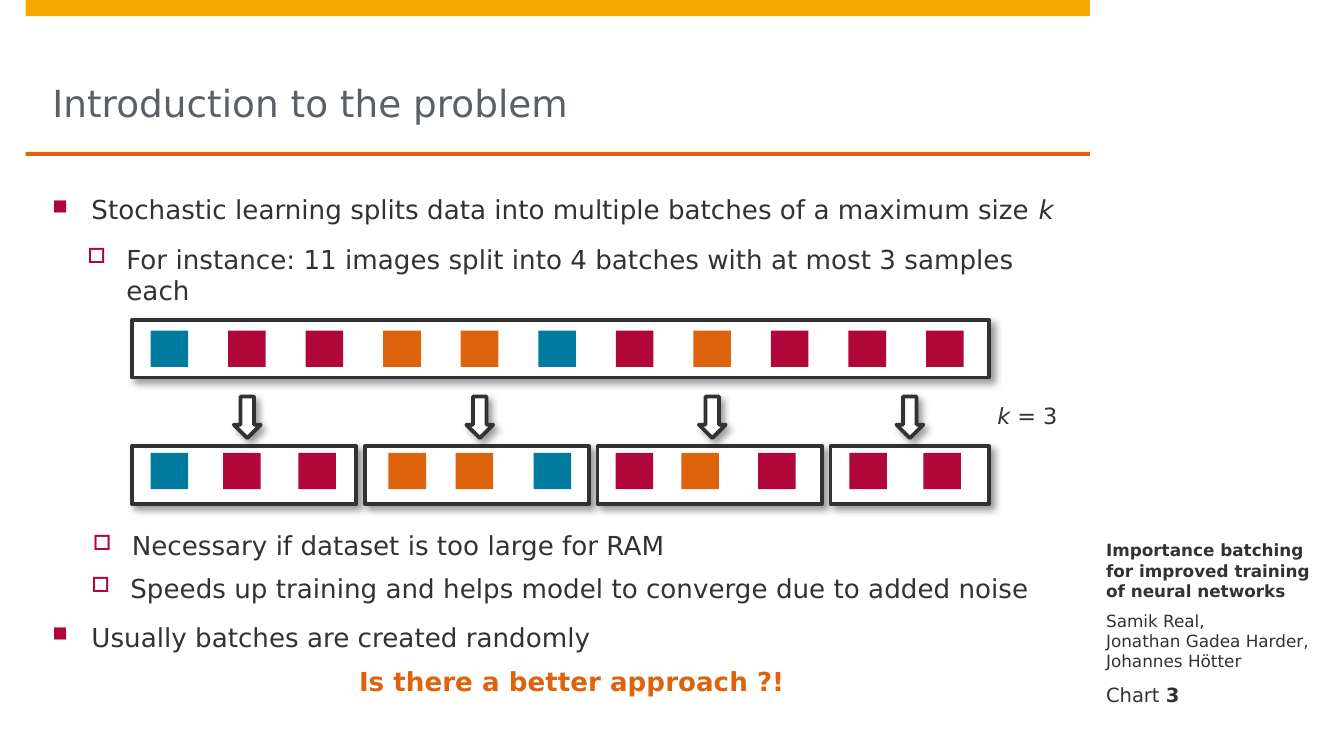
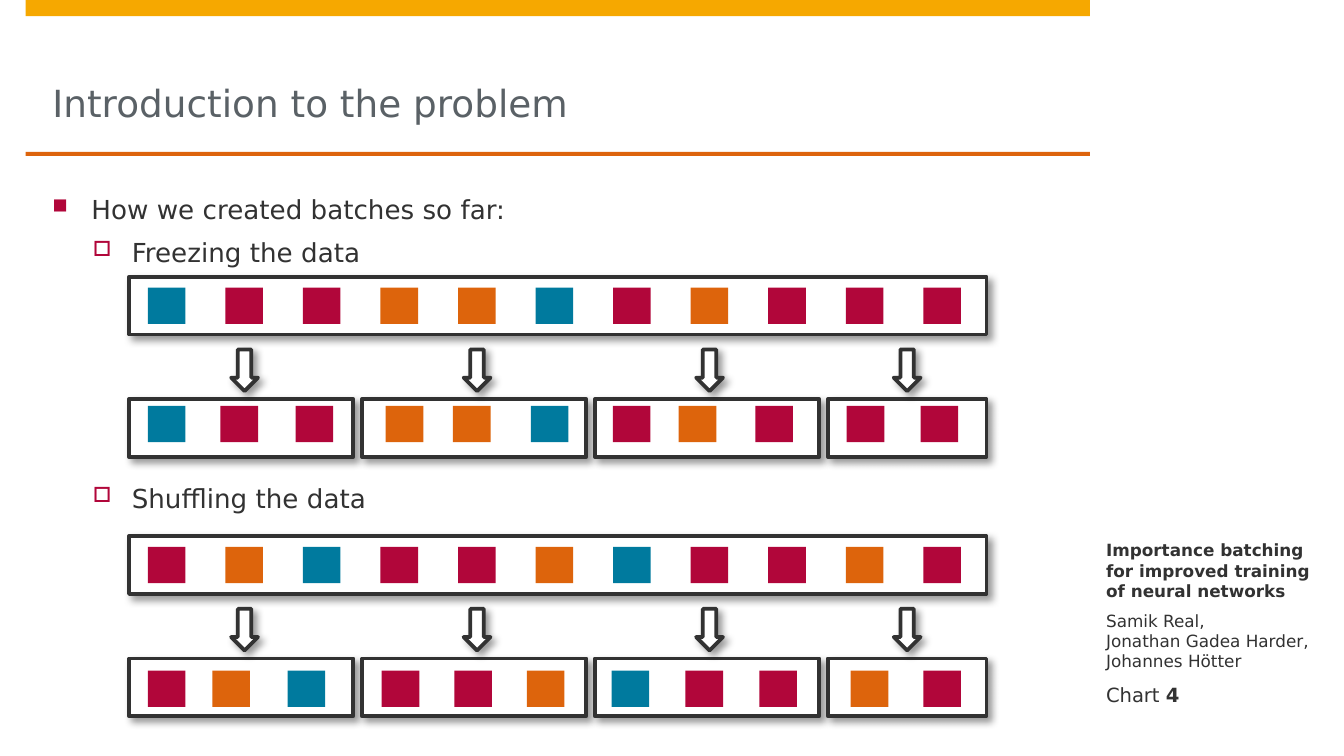
"""Builds two slides on splitting training data into batches."""
from lxml.etree import SubElement
from pptx import Presentation
from pptx.dml.color import RGBColor
from pptx.enum.shapes import MSO_SHAPE
from pptx.enum.text import MSO_ANCHOR, MSO_AUTO_SIZE, PP_ALIGN
from pptx.oxml import parse_xml
from pptx.oxml.ns import nsdecls, qn
from pptx.util import Inches, Pt

FONT = "DejaVu Sans"
DARK, GREY, WHITE = "323232", "5A6166", "FFFFFF"
YELLOW, ORANGE, RED, BLUE = "F6A800", "DD640C", "B1063A", "007A9E"
SAMPLE_COLORS = {"B": BLUE, "R": RED, "O": ORANGE}
BULLETS = {1: ("■", 0.29), 2: ("□", 0.59)}
SHADOW = (
    f'<a:effectLst {nsdecls("a")}><a:outerShdw blurRad="{Pt(4)}" dist="{Pt(3)}" '
    'dir="2700000" algn="tl" rotWithShape="0"><a:srgbClr val="000000">'
    '<a:alpha val="40000"/></a:srgbClr></a:outerShdw></a:effectLst>'
)


def add_block(parent, left, top, width, height, color, kind=MSO_SHAPE.RECTANGLE, framed=False):
    """Add a filled shape, with a dark outline and a shadow when framed."""
    block = parent.shapes.add_shape(kind, Inches(left), Inches(top), Inches(width), Inches(height))
    block.shadow.inherit = False
    block.fill.solid()
    block.fill.fore_color.rgb = RGBColor.from_string(color)
    if framed:
        block.line.color.rgb = RGBColor.from_string(DARK)
        block.line.width = Pt(2)
        properties = block._element.spPr
        properties.replace(properties.find(qn("a:effectLst")), parse_xml(SHADOW))
    else:
        block.line.fill.background()


def add_text(page, left, top, width, height, lines, size=14, color=DARK, bold=None,
             inset=(0, 0), anchor=MSO_ANCHOR.TOP):
    """Add a text box of (bullet level, text) lines and return its last paragraph."""
    box = page.shapes.add_textbox(Inches(left), Inches(top), Inches(width), Inches(height))
    frame = box.text_frame
    frame.word_wrap = True
    frame.vertical_anchor = anchor
    frame.margin_left, frame.margin_top = Inches(inset[0]), Inches(inset[1])
    frame.margin_right = frame.margin_bottom = 0
    for index, (level, text) in enumerate(lines):
        para = frame.add_paragraph() if index else frame.paragraphs[0]
        para.text = text
        if level:
            symbol, margin = BULLETS[level]
            para.level = level - 1
            para.space_before = Pt(3 if index else 0)
            para.space_after = Pt(3)
            properties = para._p.get_or_add_pPr()
            properties.set("marL", str(Inches(margin)))
            properties.set("indent", str(Inches(-0.29)))
            SubElement(SubElement(properties, qn("a:buClr")), qn("a:srgbClr")).set("val", RED)
            SubElement(properties, qn("a:buSzPct")).set("val", "80000")
            SubElement(properties, qn("a:buChar")).set("char", symbol)
        para.font.name = FONT
        para.font.size = Pt(size)
        para.font.bold = bold
        para.font.color.rgb = RGBColor.from_string(color)
    return para


FROZEN = ("BRROOBRORRR", 0.05, (0.14, 0.68, 1.24, 1.91, 2.41, 2.99, 3.6, 4.09, 4.66, 5.34, 5.89))
SHUFFLED = ("ROBRROBRROR", 0.09, (0.14, 0.62, 1.18, 1.88, 2.42, 2.96, 3.59, 4.14, 4.69, 5.37, 5.91))
PAGES = [
    {
        "number": "3",
        "texts": [
            (0.35, 1.73, 0.59, [(2, "For instance: 11 images split into 4 batches with at most 3 samples each")]),
            (0.39, 3.86, 0.35, [(2, "Necessary if dataset is too large for RAM")]),
            (0.38, 4.18, 0.44, [(2, "Speeds up training and helps model to converge due to added noise")]),
            (0.39, 4.54, 0.37, [(1, "Usually batches are created randomly")]),
            (0.39, 1.36, 0.35, [(1, "Stochastic learning splits data into multiple batches of a maximum size ")]),
        ],
        "diagrams": [(0.98, 2.38, 3.32, FROZEN)],
    },
    {
        "number": "4",
        "texts": [
            (0.39, 1.36, 0.67, [(1, "How we created batches so far:"), (2, "Freezing the data")]),
            (0.39, 3.51, 0.39, [(2, "Shuffling the data")]),
        ],
        "diagrams": [(0.96, 2.06, 2.97, FROZEN), (0.96, 3.99, 4.9, SHUFFLED)],
    },
]

deck = Presentation()
deck.slide_width = Inches(10)
deck.slide_height = deck.slide_width * 9 // 16

for content in PAGES:
    page = deck.slides.add_slide(deck.slide_layouts[5])
    add_block(page, 0.19, 0, 7.92, 0.12, YELLOW)
    add_block(page, 0.19, 1.13, 7.92, 0.03, ORANGE)

    title = page.shapes.title
    title.left, title.top = Inches(0.39), Inches(0.12)
    title.width, title.height = Inches(7.52), Inches(1.01)
    frame = title.text_frame
    frame.text = "Introduction to the problem"
    frame.auto_size = MSO_AUTO_SIZE.NONE
    frame.vertical_anchor = MSO_ANCHOR.BOTTOM
    frame.margin_left = frame.margin_top = frame.margin_right = 0
    frame.margin_bottom = Inches(0.2)
    heading = frame.paragraphs[0]
    heading.alignment = PP_ALIGN.LEFT
    heading.font.name = FONT
    heading.font.size = Pt(20)
    heading.font.color.rgb = RGBColor.from_string(GREY)

    add_text(page, 8.11, 3.9, 1.69, 0.57,
             [(0, "Importance batching for improved training of neural networks")],
             size=9, bold=True, inset=(0.12, 0), anchor=MSO_ANCHOR.BOTTOM)
    add_text(page, 8.11, 4.54, 1.69, 0.51,
             [(0, "Samik Real,"), (0, "Jonathan Gadea Harder,"), (0, "Johannes Hötter")],
             size=9, inset=(0.12, 0))
    footer = add_text(page, 8.11, 5.06, 1.69, 0.2, [(0, "Chart ")],
                      size=10.5, inset=(0.12, 0), anchor=MSO_ANCHOR.BOTTOM)
    span = footer.add_run()
    span.text = content["number"]
    span.font.bold = True

    for left, top, height, lines in content["texts"]:
        para = add_text(page, left, top, 7.52, height, lines, inset=(0, 0.08))
    if content["number"] == "3":
        span = para.add_run()
        span.text = "k"
        span.font.italic = True
        question = add_text(page, 0.35, 4.87, 7.52, 0.44, [(0, "Is there a better approach ?!")],
                            color=ORANGE, bold=True, inset=(0.29, 0.08))
        question.alignment = PP_ALIGN.CENTER
        size_label = add_text(page, 7.42, 2.99, 0.51, 0.31, [(0, "k")], size=12)
        size_label.runs[0].font.italic = True
        size_label.add_run().text = " = 3"

    for left, row_top, batch_top, (samples, drop, offsets) in content["diagrams"]:
        diagram = page.shapes.add_group_shape()
        add_block(diagram, left, row_top, 6.38, 0.43, WHITE, framed=True)
        for index, width in enumerate((1.67, 1.67, 1.67, 1.18)):
            add_block(diagram, left + index * 5.2 / 3, batch_top, width, 0.43, WHITE, framed=True)
        for arrow_left in (0.76, 2.49, 4.22, 5.69):
            add_block(diagram, left + arrow_left, batch_top - 0.37, 0.2, 0.31, WHITE,
                      MSO_SHAPE.DOWN_ARROW, framed=True)
        for index, (sample, offset) in enumerate(zip(samples, offsets)):
            color = SAMPLE_COLORS[sample]
            add_block(diagram, left + 0.14 + index * 5.77 / 10, row_top + 0.08, 0.28, 0.27, color)
            add_block(diagram, left + offset, batch_top + drop, 0.28, 0.27, color)

deck.save("out.pptx")
